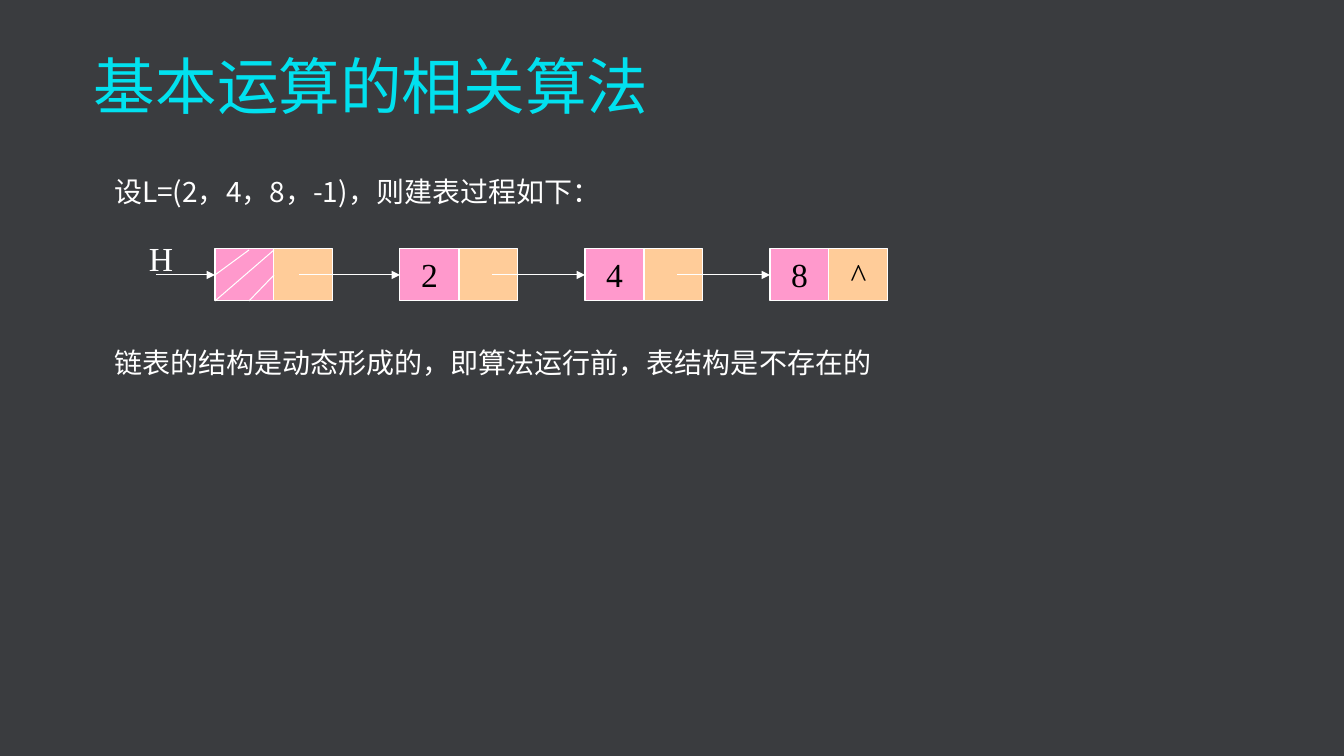
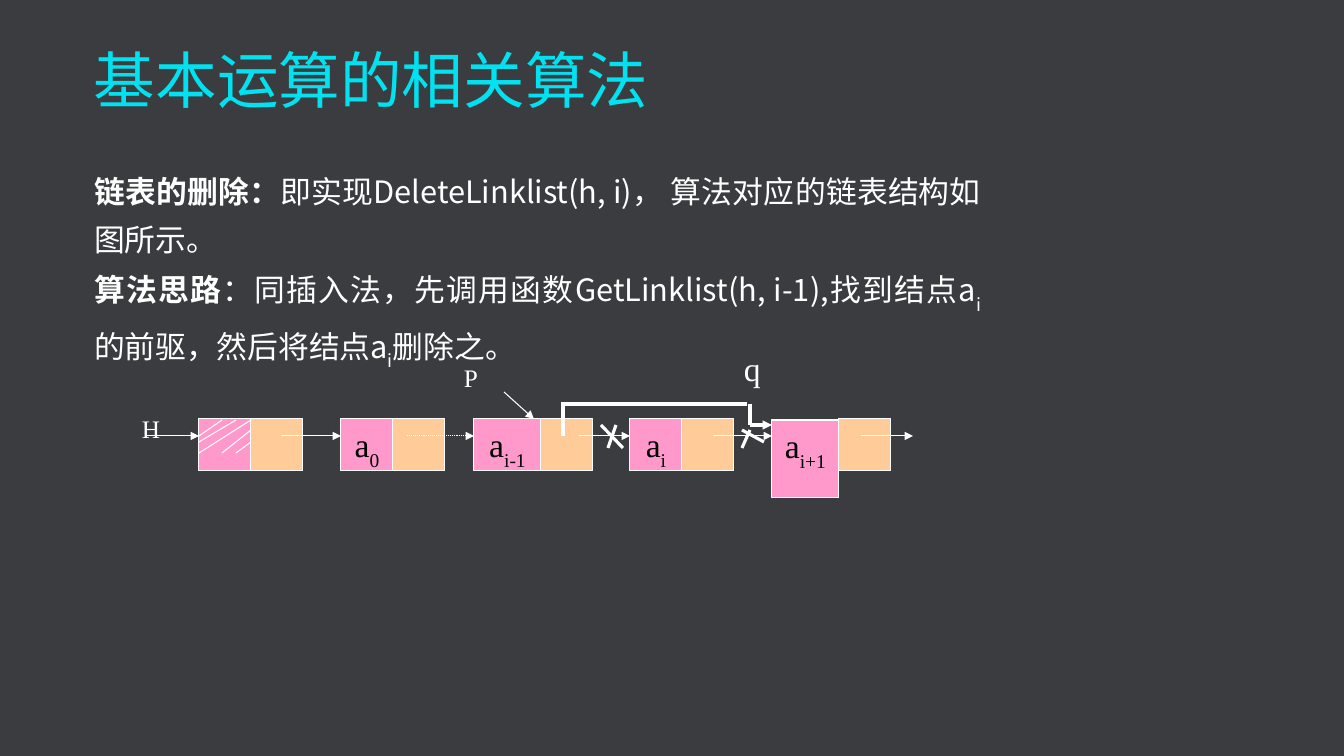
from pptx import Presentation
from pptx import util as u
from pptx.dml.color import RGBColor
from pptx.enum import dml, shapes, text
from pptx.oxml.ns import qn
from lxml import etree

# Shared look
BACK, CYAN, WHITE, BLACK = "3A3C3F", "01E1EF", "FFFFFF", "000000"
PINK, PEACH = "FF99CC", "FFCC99"
SANS, SERIF = "Noto Sans CJK SC", "Times New Roman"
TITLE = "基本运算的相关算法"
SCALE = 914400 / 100.8

# Slide 1: text, nodes (x, y, data width, data height, data, link), lines
BUILD = {
    "top": 48,
    "body": dict(box=(114, 175, 930, 220), size=20, gap=97.5, paras=[
        [("设L=(2，4，8，-1)，则建表过程如下：", "")],
        [("链表的结构是动态形成的，即算法运行前，表结构是不存在的", "")]]),
    "link": 59,
    "nodes": [(215 + 185 * i, 249, 59, 52, data, link) for i, (data, link)
              in enumerate([("", ""), ("2", ""), ("4", ""), ("8", "^")])],
    "hatch": [(249, 250, 215, 275), (274, 250, 215, 301),
              (274, 275, 249, 301)],
    "starts": [156, 299, 492, 677],
    "marks": [("H", 149, 238, 24)],
}

# Slide 2
DELETE = {
    "top": 42,
    "body": dict(box=(94, 162, 887, 220), size=22, space=1.3,
                 align=text.PP_ALIGN.JUSTIFY, paras=[
        [("链表的删除：", "b"),
         ("即实现DeleteLinklist(h, i)， 算法对应的链表结构如图所示。", "")],
        [("算法思路", "b"),
         ("：同插入法，先调用函数GetLinklist(h, i-1),找到结点a", ""),
         ("i", "sub"), ("的前驱，然后将结点a", ""), ("i", "sub"),
         ("删除之。", "")]]),
    "link": 52,
    "nodes": [(199, 419, 52, 52, "", ""), (341, 419, 52, 52, "a_0", ""),
              (474, 419, 67, 52, "a_i-1", ""), (630, 419, 52, 52, "a_i", ""),
              (772, 420, 67, 78, "a_i+1", "")],
    "hatch": [(222, 420, 199, 436), (251, 420, 199, 453),
              (251, 442, 236, 453), (236, 420, 199, 442),
              (251, 430, 222, 453)],
    "marks": [("H", 142, 413, 18), ("P", 464, 362, 18), ("q", 744, 348, 24)],
}
LEVEL = 436
ARROWS = [(147, 199), (281, 341), (579, 630), (713, 772), (861, 913)]
DOTTED = (407, 474)
BYPASS = [(561, 404, 747, 404), (750, 404, 750, 425), (563, 404, 563, 436)]
CROSSES = [(616, 425, 608, 448), (601, 425, 623, 448),
           (750, 430, 742, 448), (742, 430, 764, 442)]


def px(n):
    return u.Emu(round(n * SCALE))


def rgb(code):
    return RGBColor.from_string(code)


def write(frame, paras, size, font=SANS, color=WHITE, align=None,
          space=1.0, gap=0, inset=0, wrap=True):
    """Fill a frame with paragraphs made of (text, style) runs."""
    frame.word_wrap = wrap
    frame.vertical_anchor = text.MSO_ANCHOR.TOP
    frame.margin_left = frame.margin_right = frame.margin_bottom = 0
    frame.margin_top = px(inset)
    for i, runs in enumerate(paras):
        para = frame.add_paragraph() if i else frame.paragraphs[0]
        para.alignment = align
        para.line_spacing = space
        if i and gap:
            para.space_before = u.Pt(gap)
        for words, style in runs:
            run = para.add_run()
            run.text = words
            run.font.size = u.Pt(size)
            run.font.bold = style == "b"
            run.font.name = font
            run.font.color.rgb = rgb(color)
            props = run._r.get_or_add_rPr()
            etree.SubElement(props, qn("a:ea")).set("typeface", font)
            if style == "sub":
                props.set("baseline", "-30000")


def label(slide, box, paras, size, **form):
    shape = slide.shapes.add_textbox(*map(px, box))
    write(shape.text_frame, paras, size, **form)


def cell(slide, box, fill, words):
    shape = slide.shapes.add_shape(shapes.MSO_SHAPE.RECTANGLE, *map(px, box))
    shape.shadow.inherit = False
    shape.fill.solid()
    shape.fill.fore_color.rgb = rgb(fill)
    shape.line.color.rgb = rgb(WHITE)
    shape.line.width = u.Pt(0.75)
    if words:
        base, _, low = words.partition("_")
        runs = [(base, "")] + ([(low, "sub")] if low else [])
        write(shape.text_frame, [runs], 24, font=SERIF, color=BLACK,
              align=text.PP_ALIGN.CENTER, inset=5)
    return shape


def line(slide, ends, width=0.75, head=False, dots=False):
    link = slide.shapes.add_connector(shapes.MSO_CONNECTOR.STRAIGHT,
                                      *map(px, ends))
    link.line.color.rgb = rgb(WHITE)
    link.line.width = u.Pt(width)
    if dots:
        link.line.dash_style = dml.MSO_LINE.ROUND_DOT
    if head:
        tail = etree.SubElement(link.line._get_or_add_ln(), qn("a:tailEnd"))
        tail.set("type", "triangle")
    etree.SubElement(link._element.spPr, qn("a:effectLst"))
    return link


def page(deck, data):
    """Draw title, body, nodes and marks; return the slide and data cells."""
    slide = deck.slides.add_slide(deck.slide_layouts[6])
    label(slide, (94, data["top"], 1160, 90), [[(TITLE, "")]], 44, color=CYAN)
    body = dict(data["body"])
    label(slide, body.pop("box"), body.pop("paras"), **body)
    cells = []
    for x, y, wide, high, value, link in data["nodes"]:
        cells.append(cell(slide, (x, y, wide, high), PINK, value))
        cell(slide, (x + wide, data["nodes"][0][1], data["link"],
                     data["nodes"][0][3]), PEACH, link)
    for ends in data["hatch"]:
        line(slide, ends)
    for words, x, y, size in data["marks"]:
        label(slide, (x, y, 40, 40), [[(words, "")]], size, font=SERIF,
              wrap=False)
    return slide, cells


def main():
    deck = Presentation()
    deck.slide_width, deck.slide_height = px(1344), px(756)
    back = deck.slide_master.background.fill
    back.solid()
    back.fore_color.rgb = rgb(BACK)

    # Building the list
    slide, cells = page(deck, BUILD)
    for start, node, goal in zip(BUILD["starts"], BUILD["nodes"], cells):
        mid = node[1] + node[3] / 2
        arrow = line(slide, (start, mid, node[0], mid), head=True)
        arrow.end_connect(goal, 1)

    # Deleting a node
    slide, cells = page(deck, DELETE)
    for start, end in ARROWS:
        line(slide, (start, LEVEL, end, LEVEL), head=True)
    line(slide, (DOTTED[0], LEVEL, DOTTED[1], LEVEL), head=True, dots=True)
    line(slide, (504, 392, 534, 419), head=True)
    for ends in BYPASS + CROSSES:
        line(slide, ends, width=2.25)
    line(slide, (750, 425, 772, 425), width=2.25, head=True)

    deck.save("out.pptx")


if __name__ == "__main__":
    main()
